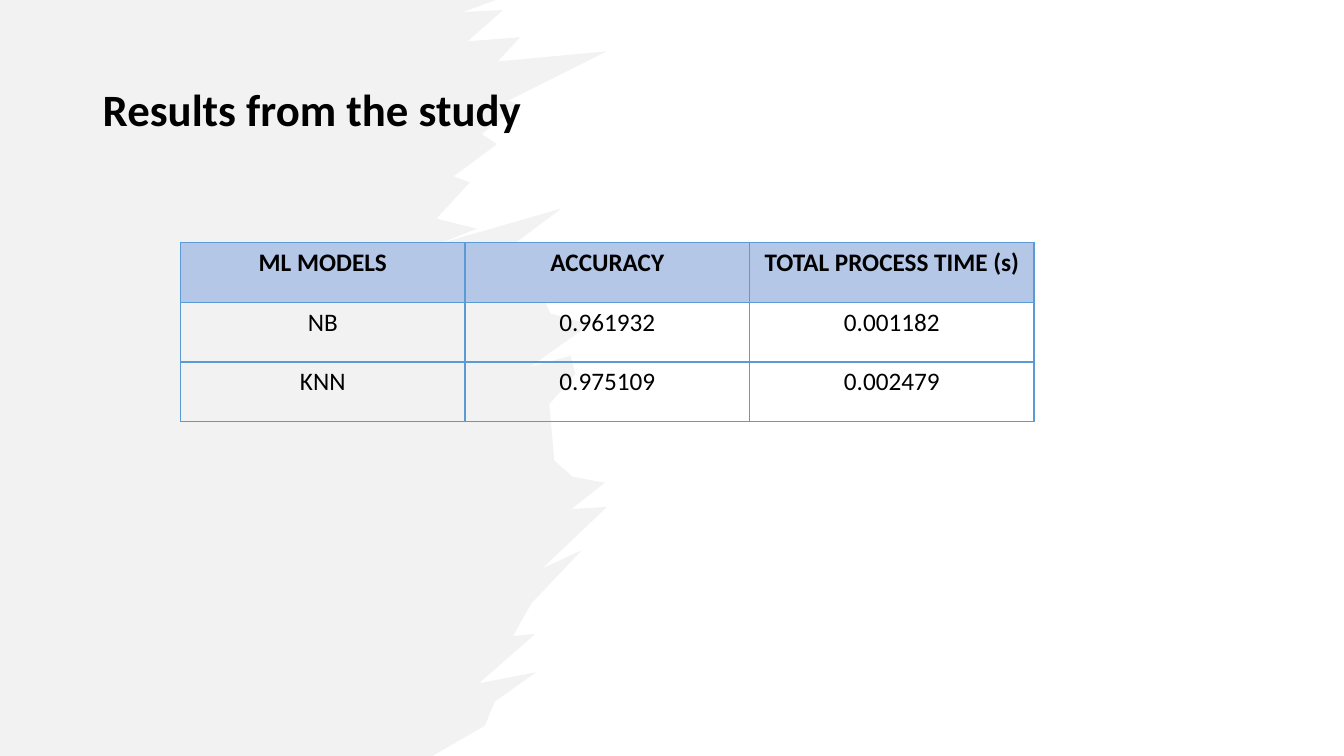
from lxml import etree
from pptx import Presentation
from pptx import util as u
from pptx.dml.color import RGBColor
from pptx.enum import text
from pptx.oxml import ns

COLORS = {"brush": "E7E6E6", "ink": "000000", "header": "B4C7E7", "border": "5B9BD5"}
FONT = "Calibri"
BRUSH_HEIGHT = 750
BRUSH_EDGE = [
    (492, 0), (459, 12), (499, 10), (464, 41), (516, 37), (494, 61), (602, 51),
    (504, 100), (515, 104), (478, 133), (493, 143), (450, 175), (466, 181),
    (433, 217), (473, 227), (435, 242), (557, 207), (494, 254), (451, 275),
    (532, 279), (546, 311), (585, 322), (526, 364), (566, 353), (571, 371),
    (545, 401), (550, 457), (568, 473), (600, 479), (567, 505), (602, 503),
    (538, 564), (577, 546), (527, 599), (509, 631), (531, 629), (475, 678),
    (532, 667), (491, 696), (481, 720), (429, 750),
]
RESULTS = [
    ("ML MODELS", "ACCURACY", "TOTAL PROCESS TIME (s)"),
    ("NB", "0.961932", "0.001182"),
    ("KNN", "0.975109", "0.002479"),
]


def color(name):
    """Return the named palette colour."""
    return RGBColor.from_string(COLORS[name])


def format_runs(paragraph, size, bold):
    """Apply the slide's font to every run of a paragraph."""
    for run in paragraph.runs:
        run.font.name = FONT
        run.font.size = u.Pt(size)
        run.font.bold = bold
        run.font.color.rgb = color("ink")


def add_brush(slide, left, top, height):
    """Draw the translucent brush stroke, scaled to the given height."""
    builder = slide.shapes.build_freeform(0, 0, scale=height / BRUSH_HEIGHT)
    builder.add_line_segments(BRUSH_EDGE + [(0, BRUSH_HEIGHT)], close=True)
    brush = builder.convert_to_shape(left, top)
    brush.shadow.inherit = False
    brush.line.fill.background()
    brush.fill.solid()
    brush.fill.fore_color.rgb = color("brush")
    tint = brush.fill._xPr.find(ns.qn("a:solidFill"))[0]
    etree.SubElement(tint, ns.qn("a:alpha"), val="50000")


def add_title(slide, left, top, width, height):
    """Place the vertically centred title in its box."""
    frame = slide.shapes.add_textbox(left, top, width, height).text_frame
    frame.word_wrap = True
    frame.vertical_anchor = text.MSO_ANCHOR.MIDDLE
    frame.text = "Results from the study"
    frame.paragraphs[0].line_spacing = 0.9
    format_runs(frame.paragraphs[0], 32, True)


def add_borders(cell):
    """Give a cell a thin line on all four sides."""
    properties = cell._tc.get_or_add_tcPr()
    for side in ("lnL", "lnR", "lnT", "lnB"):
        line = etree.SubElement(properties, ns.qn(f"a:{side}"), w=str(u.Pt(1)))
        fill = etree.SubElement(line, ns.qn("a:solidFill"))
        etree.SubElement(fill, ns.qn("a:srgbClr"), val=COLORS["border"])


def add_results(slide, left, top, width, height):
    """Fill the box with an even grid of model results."""
    table = slide.shapes.add_table(
        len(RESULTS), len(RESULTS[0]), left, top, width, height
    ).table
    table.horz_banding = False
    for row, values in enumerate(RESULTS):
        is_header = row == 0
        for column, value in enumerate(values):
            cell = table.cell(row, column)
            cell.text_frame.text = value
            paragraph = cell.text_frame.paragraphs[0]
            paragraph.alignment = text.PP_ALIGN.CENTER
            format_runs(paragraph, 18, is_header)
            add_borders(cell)
            if is_header:
                cell.fill.solid()
                cell.fill.fore_color.rgb = color("header")
            else:
                cell.fill.background()


def main():
    """Build and save the results slide."""
    deck = Presentation()
    deck.slide_width, deck.slide_height = u.Cm(33.87), u.Cm(19.05)
    slide = deck.slides.add_slide(deck.slide_layouts[6])
    add_brush(slide, u.Cm(0), u.Cm(0), deck.slide_height)
    add_title(slide, u.Cm(2.34), u.Cm(1.5), u.Cm(21.69), u.Cm(2.64))
    add_results(slide, u.Cm(4.55), u.Cm(6.12), u.Cm(21.51), u.Cm(4.5))
    deck.save("out.pptx")


if __name__ == "__main__":
    main()
